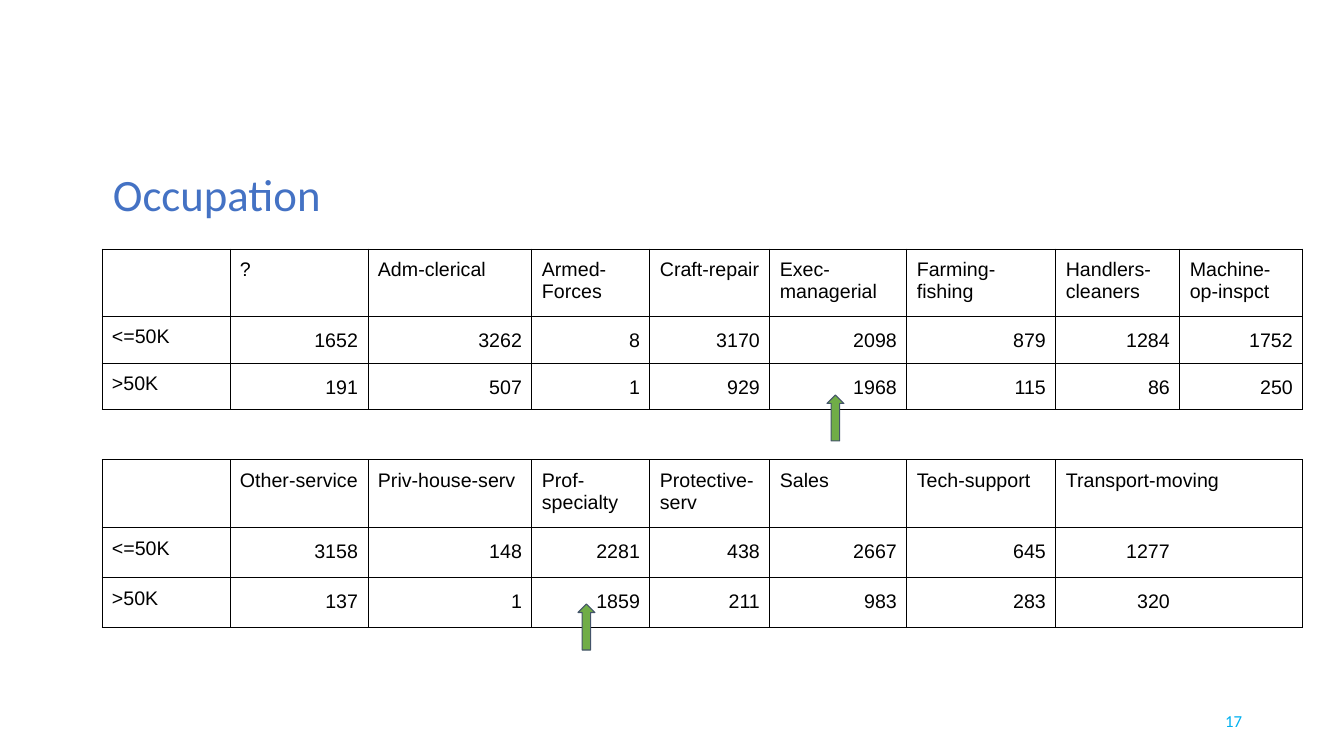
"""Build the slide that counts incomes by occupation."""
from dataclasses import dataclass

from lxml.etree import SubElement
from pptx import Presentation
from pptx.dml.color import RGBColor
from pptx.enum.shapes import MSO_SHAPE
from pptx.enum.text import MSO_ANCHOR, PP_ALIGN
from pptx.oxml.ns import qn
from pptx.slide import Slide
from pptx.table import _Cell
from pptx.text.text import _Paragraph
from pptx.util import Emu, Pt

SLIDE_WIDTH, SLIDE_HEIGHT = 1344, 756
EMU_PER_PX = 12192000 / SLIDE_WIDTH


@dataclass(frozen=True)
class TextStyle:
    font: str
    size: int
    color: str
    align: PP_ALIGN = PP_ALIGN.LEFT
    line_spacing: float = 1.0


@dataclass(frozen=True)
class Theme:
    title: TextStyle = TextStyle("Calibri", 32, "4472C4", line_spacing=0.9)
    page_number: TextStyle = TextStyle("Calibri", 12, "00B0F0", PP_ALIGN.RIGHT)
    label: TextStyle = TextStyle("Arial", 14, "000000")
    count: TextStyle = TextStyle("Arial", 14, "000000", PP_ALIGN.RIGHT, 1.15)
    border: str = "000000"
    arrow_fill: str = "70AD47"
    arrow_line: str = "44546A"
    line_width: float = 0.75


@dataclass(frozen=True)
class Box:
    left: int
    top: int
    width: int
    height: int


@dataclass(frozen=True)
class Caption:
    text: str
    box: Box
    style: TextStyle
    anchor: MSO_ANCHOR


@dataclass(frozen=True)
class Band:
    height: int
    label: str = ""
    entries: tuple[str | int, ...] = ()


THEME = Theme()
TABLE_LEFT, TABLE_TOP = 102, 249
COLUMN_WIDTHS = (128, 138, 164, 118, 120, 137, 149, 124, 123)
LAST_COLUMN = len(COLUMN_WIDTHS) - 1
BANDS = (
    Band(67, "", ("?", "Adm-clerical", "Armed-Forces", "Craft-repair", "Exec-managerial",
                  "Farming-fishing", "Handlers-cleaners", "Machine-op-inspct")),
    Band(47, "<=50K", (1652, 3262, 8, 3170, 2098, 879, 1284, 1752)),
    Band(47, ">50K", (191, 507, 1, 929, 1968, 115, 86, 250)),
    Band(50),
    Band(68, "", ("Other-service", "Priv-house-serv", "Prof-specialty", "Protective-serv",
                  "Sales", "Tech-support", "Transport-moving")),
    Band(50, "<=50K", (3158, 148, 2281, 438, 2667, 645, 1277)),
    Band(50, ">50K", (137, 1, 1859, 211, 983, 283, 320)),
)
CAPTIONS = (
    Caption("Occupation", Box(103, 168, 259, 58), THEME.title, MSO_ANCHOR.BOTTOM),
    Caption("17", Box(950, 701, 302, 40), THEME.page_number, MSO_ANCHOR.MIDDLE),
)
PEAK_ARROWS = (Box(827, 395, 17, 46), Box(578, 604, 17, 46))


def px(length: int) -> Emu:
    """Turn px into EMU."""
    return Emu(round(length * EMU_PER_PX))


def place(box: Box) -> tuple[Emu, Emu, Emu, Emu]:
    """Give the position and size of a box in EMU."""
    return px(box.left), px(box.top), px(box.width), px(box.height)


def write(paragraph: _Paragraph, text: str, style: TextStyle) -> None:
    """Fill a paragraph with styled text."""
    paragraph.text = text
    paragraph.alignment = style.align
    paragraph.line_spacing = style.line_spacing
    paragraph.font.name = style.font
    paragraph.font.size = Pt(style.size)
    paragraph.font.color.rgb = RGBColor.from_string(style.color)


def add_caption(slide: Slide, caption: Caption) -> None:
    """Add a line of text outside the table."""
    frame = slide.shapes.add_textbox(*place(caption.box)).text_frame
    frame.word_wrap = True
    frame.vertical_anchor = caption.anchor
    write(frame.paragraphs[0], caption.text, caption.style)


def ruled_sides(band: Band, column: int) -> str:
    """Name the sides of a cell that carry a line."""
    if not band.entries:
        return "TB"
    if isinstance(band.entries[0], int) and len(band.entries) < LAST_COLUMN:
        return {LAST_COLUMN - 1: "LTB", LAST_COLUMN: "RTB"}.get(column, "LRTB")
    return "LRTB"


def rule_cell(cell: _Cell, sides: str) -> None:
    """Draw the named sides of a cell and clear the others."""
    properties = cell._tc.get_or_add_tcPr()
    for side in "LRTB":
        line = SubElement(properties, qn(f"a:ln{side}"), w=str(Pt(THEME.line_width)))
        if side in sides:
            fill = SubElement(line, qn("a:solidFill"))
            SubElement(fill, qn("a:srgbClr"), val=THEME.border)
        else:
            SubElement(line, qn("a:noFill"))


def add_occupation_table(slide: Slide) -> None:
    """Add the table of incomes by occupation."""
    box = Box(TABLE_LEFT, TABLE_TOP, sum(COLUMN_WIDTHS), sum(band.height for band in BANDS))
    table = slide.shapes.add_table(len(BANDS), len(COLUMN_WIDTHS), *place(box)).table
    table.first_row = table.horz_banding = False
    for column, width in zip(table.columns, COLUMN_WIDTHS):
        column.width = px(width)
    for row_index, band in enumerate(BANDS):
        table.rows[row_index].height = px(band.height)
        values = (band.label, *band.entries)
        for column_index in range(len(COLUMN_WIDTHS)):
            cell = table.cell(row_index, column_index)
            value = values[column_index] if column_index < len(values) else ""
            rule_cell(cell, ruled_sides(band, column_index))
            cell.fill.background()
            cell.margin_left = cell.margin_right = px(10)
            cell.margin_top = cell.margin_bottom = px(10)
            style = THEME.count if isinstance(value, int) else THEME.label
            write(cell.text_frame.paragraphs[0], str(value), style)
        if len(band.entries) == LAST_COLUMN - 1 and isinstance(band.entries[0], str):
            table.cell(row_index, LAST_COLUMN - 1).merge(table.cell(row_index, LAST_COLUMN))


def add_peak_arrow(slide: Slide, box: Box) -> None:
    """Add an arrow that points up at a count."""
    arrow = slide.shapes.add_shape(MSO_SHAPE.UP_ARROW, *place(box))
    arrow.shadow.inherit = False
    arrow.fill.solid()
    arrow.fill.fore_color.rgb = RGBColor.from_string(THEME.arrow_fill)
    arrow.line.color.rgb = RGBColor.from_string(THEME.arrow_line)
    arrow.line.width = Pt(THEME.line_width)


def main() -> None:
    """Build and save the slide."""
    presentation = Presentation()
    presentation.slide_width, presentation.slide_height = px(SLIDE_WIDTH), px(SLIDE_HEIGHT)
    slide = presentation.slides.add_slide(presentation.slide_layouts[6])
    add_occupation_table(slide)
    for caption in CAPTIONS:
        add_caption(slide, caption)
    for box in PEAK_ARROWS:
        add_peak_arrow(slide, box)
    presentation.save("out.pptx")


if __name__ == "__main__":
    main()
